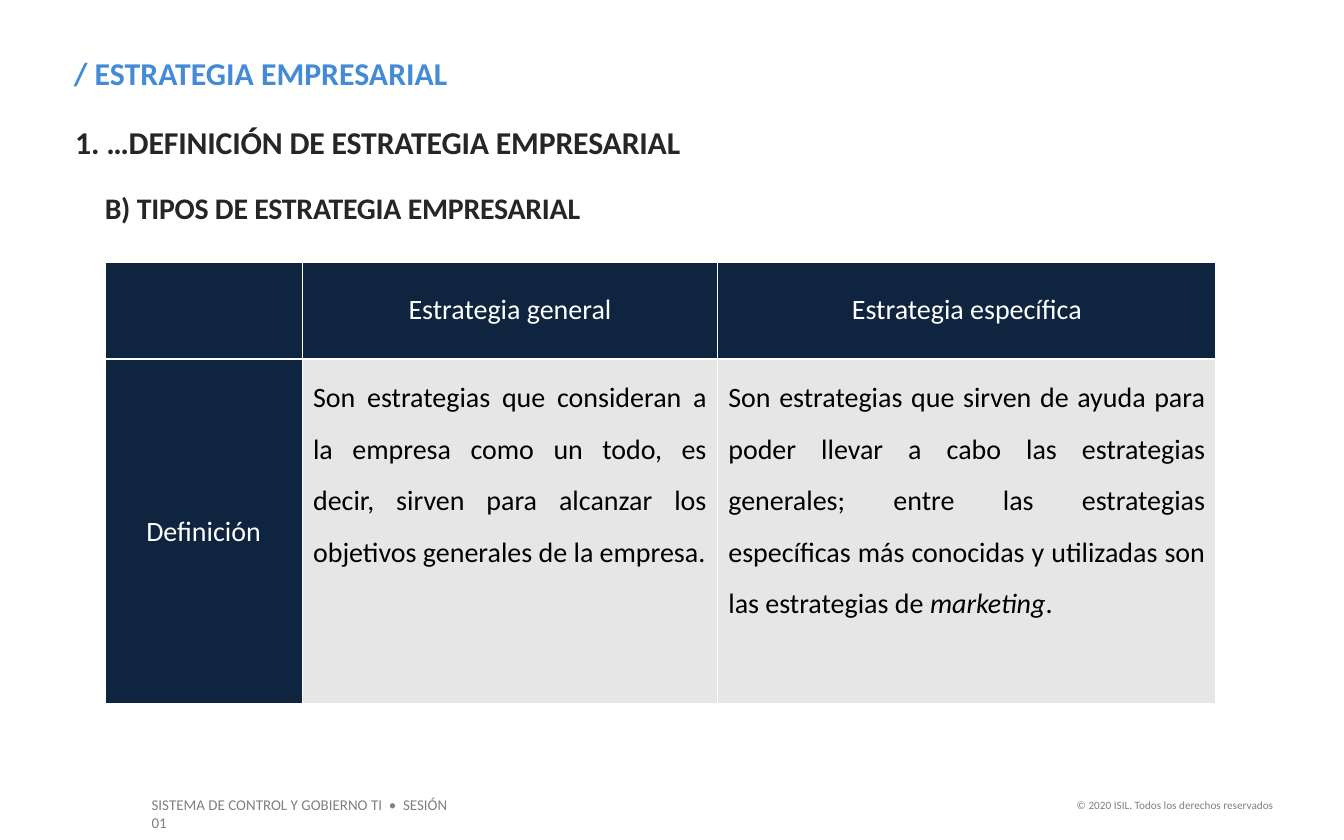
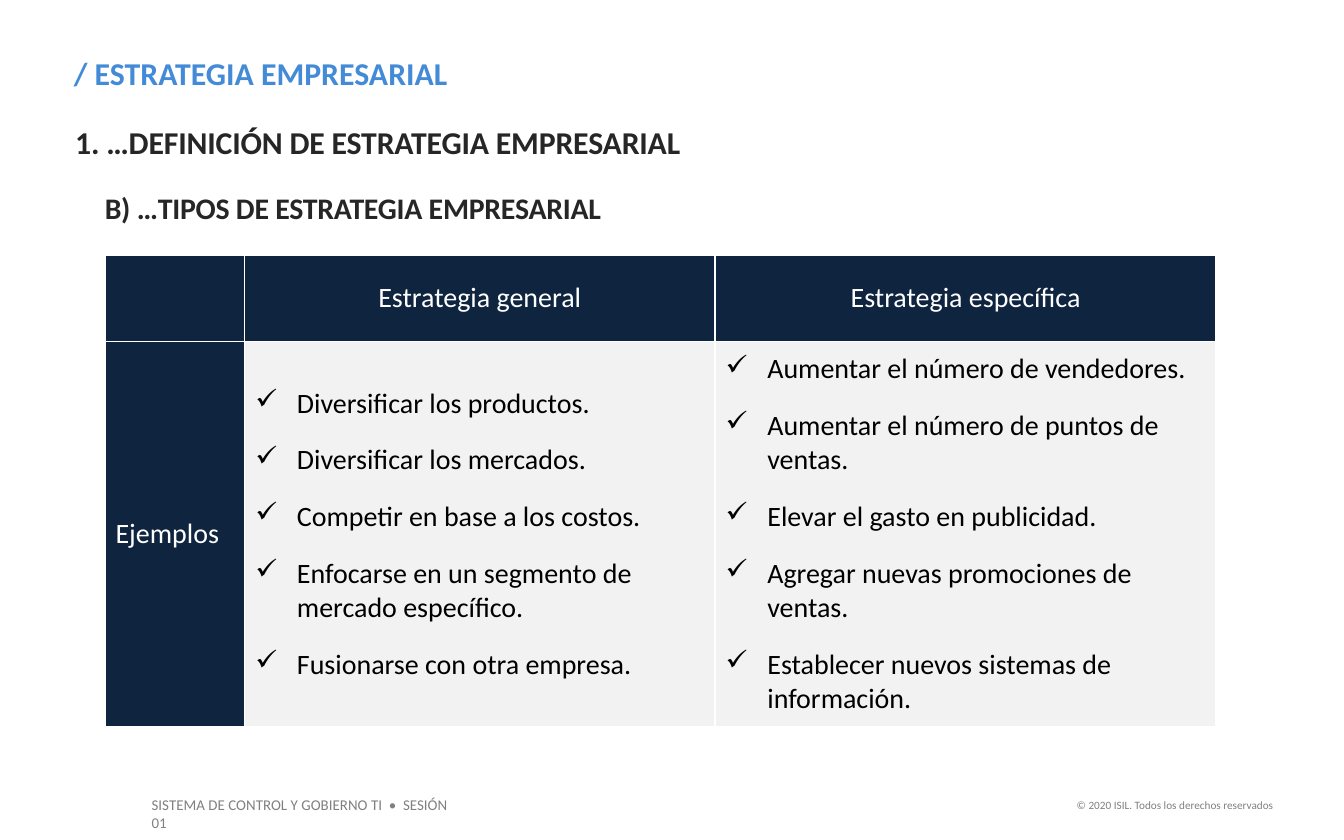
from lxml.etree import SubElement
from pptx import Presentation
from pptx.dml.color import RGBColor
from pptx.enum.text import MSO_ANCHOR, MSO_AUTO_SIZE, PP_ALIGN
from pptx.oxml.ns import qn
from pptx.util import Inches, Pt

COLORS = {
    "title": "438AD7",
    "heading": "262626",
    "footer": "808080",
    "navy": "0F243E",
    "white": "FFFFFF",
    "black": "000000",
    "definition": "E6E6E6",
    "examples": "F2F2F2",
}
FONT = "Calibri"
CELL_SIZE = 15


def rgb(name):
    return RGBColor.from_string(COLORS[name])


class Deck:
    def __init__(self):
        self.prs = Presentation()
        self.prs.slide_width = Inches(10)
        self.prs.slide_height = Inches(6.25)
        self.s = None

    def run(self, p, text, size, color, bold=False, italic=False):
        r = p.add_run()
        r.text = text
        font = r.font
        font.name, font.size, font.bold, font.italic = FONT, Pt(size), bold, italic
        font.color.rgb = rgb(color)
        return r

    def frame(self, sp, inset=True):
        tf = sp.text_frame
        tf.word_wrap = True
        tf.auto_size = MSO_AUTO_SIZE.SHAPE_TO_FIT_TEXT
        tf.vertical_anchor = MSO_ANCHOR.TOP
        tf.margin_left = tf.margin_right = Inches(0.1 if inset else 0)
        tf.margin_top = tf.margin_bottom = Inches(0.05 if inset else 0)
        return tf.paragraphs[0]

    def text(self, box, text, size, color, bold=False, inset=True, align=PP_ALIGN.LEFT):
        sp = self.s.shapes.add_textbox(*map(Inches, box))
        p = self.frame(sp, inset)
        p.alignment = align
        return self.run(p, text, size, color, bold)

    def slide(self, title):
        self.s = self.prs.slides.add_slide(self.prs.slide_layouts[5])
        self.text((1.03, 5.87, 2.54, 0.24),
                  "SISTEMA DE CONTROL Y GOBIERNO TI  •  SESIÓN 01", 8, "footer")
        self.text((7.88, 5.89, 1.69, 0.2),
                  "© 2020 ISIL. Todos los derechos reservados", 6, "footer",
                  align=PP_ALIGN.RIGHT)
        sp = self.s.shapes.title
        sp.left, sp.top, sp.width, sp.height = map(Inches, (0.45, 0.35, 7.88, 0.39))
        p = self.frame(sp)
        p.alignment = PP_ALIGN.LEFT
        self.run(p, title, 17, "title", bold=True)

    def heading(self, left, top, text, size):
        r = self.text((left, top, 5.54, 0.28), text, size, "heading", bold=True, inset=False)
        r._r.get_or_add_rPr().set("spc", "-10")

    def table(self, top, columns, rows):
        sp = self.s.shapes.add_table(
            len(rows), len(columns), Inches(0.78), Inches(top),
            Inches(sum(columns)), Inches(sum(rows)))
        table = sp.table
        table.horz_banding = False
        for column, width in zip(table.columns, columns):
            column.width = Inches(width)
        for row, height in zip(table.rows, rows):
            row.height = Inches(height)
        return table

    def cell(self, cell, fill, anchor=MSO_ANCHOR.MIDDLE):
        cell.margin_left = cell.margin_right = Inches(0.08)
        cell.margin_top = cell.margin_bottom = Inches(0.04)
        cell.vertical_anchor = anchor
        tcPr = cell._tc.get_or_add_tcPr()
        for side in ("lnL", "lnR", "lnT", "lnB"):
            ln = SubElement(tcPr, qn(f"a:{side}"), w=str(Pt(1)))
            solid = SubElement(ln, qn("a:solidFill"))
            SubElement(solid, qn("a:srgbClr"), val=COLORS["white"])
        cell.fill.solid()
        cell.fill.fore_color.rgb = rgb(fill)
        return cell.text_frame

    def label(self, cell, text, align=PP_ALIGN.CENTER):
        p = self.cell(cell, "navy").paragraphs[0]
        if text:
            p.alignment = align
            self.run(p, text, CELL_SIZE, "white")

    def header(self, table):
        for cell, text in zip(table.rows[0].cells,
                              ("", "Estrategia general", "Estrategia específica")):
            self.label(cell, text)

    def definition(self, cell, parts):
        p = self.cell(cell, "definition", MSO_ANCHOR.TOP).paragraphs[0]
        p.alignment = PP_ALIGN.JUSTIFY
        p.line_spacing = 1.5
        for text, italic in parts:
            self.run(p, text, CELL_SIZE, "black", italic=italic)

    def checklist(self, cell, items):
        tf = self.cell(cell, "examples")
        for i, item in enumerate(items):
            p = tf.add_paragraph() if i else tf.paragraphs[0]
            pPr = p._p.get_or_add_pPr()
            pPr.set("marL", str(Inches(0.31)))
            pPr.set("indent", str(-Inches(0.31)))
            SubElement(pPr, qn("a:buChar"), char="✓")
            p.space_after = Pt(12)
            self.run(p, item, CELL_SIZE, "black")


def strategy_slide(deck, subheading, top, columns, rows):
    deck.slide("/ ESTRATEGIA EMPRESARIAL")
    deck.heading(0.56, 0.91, "1. …DEFINICIÓN DE ESTRATEGIA EMPRESARIAL", 17)
    deck.heading(0.78, 1.41, subheading, 16)
    table = deck.table(top, columns, rows)
    deck.header(table)
    return table


def main():
    deck = Deck()

    table = strategy_slide(deck, "B) TIPOS DE ESTRATEGIA EMPRESARIAL",
                           1.95, (1.47, 3.09, 3.71), (0.72, 2.57))
    deck.label(table.cell(1, 0), "Definición")
    deck.definition(table.cell(1, 1), [
        ("Son estrategias que consideran a la empresa como un todo, es decir, "
         "sirven para alcanzar los objetivos generales de la empresa.", False),
    ])
    deck.definition(table.cell(1, 2), [
        ("Son estrategias que sirven de ayuda para poder llevar a cabo las "
         "estrategias generales; entre las estrategias específicas más conocidas "
         "y utilizadas son las estrategias de ", False),
        ("marketing", True),
        (".", False),
    ])

    table = strategy_slide(deck, "B) …TIPOS DE ESTRATEGIA EMPRESARIAL",
                           1.9, (1.04, 3.5, 3.73), (0.64, 2.87))
    deck.label(table.cell(1, 0), "Ejemplos", PP_ALIGN.LEFT)
    deck.checklist(table.cell(1, 1), [
        "Diversificar los productos.",
        "Diversificar los mercados.",
        "Competir en base a los costos.",
        "Enfocarse en un segmento de mercado específico.",
        "Fusionarse con otra empresa.",
    ])
    deck.checklist(table.cell(1, 2), [
        "Aumentar el número de vendedores.",
        "Aumentar el número de puntos de ventas.",
        "Elevar el gasto en publicidad.",
        "Agregar nuevas promociones de ventas.",
        "Establecer nuevos sistemas de información.",
    ])

    deck.prs.save("out.pptx")


if __name__ == "__main__":
    main()
